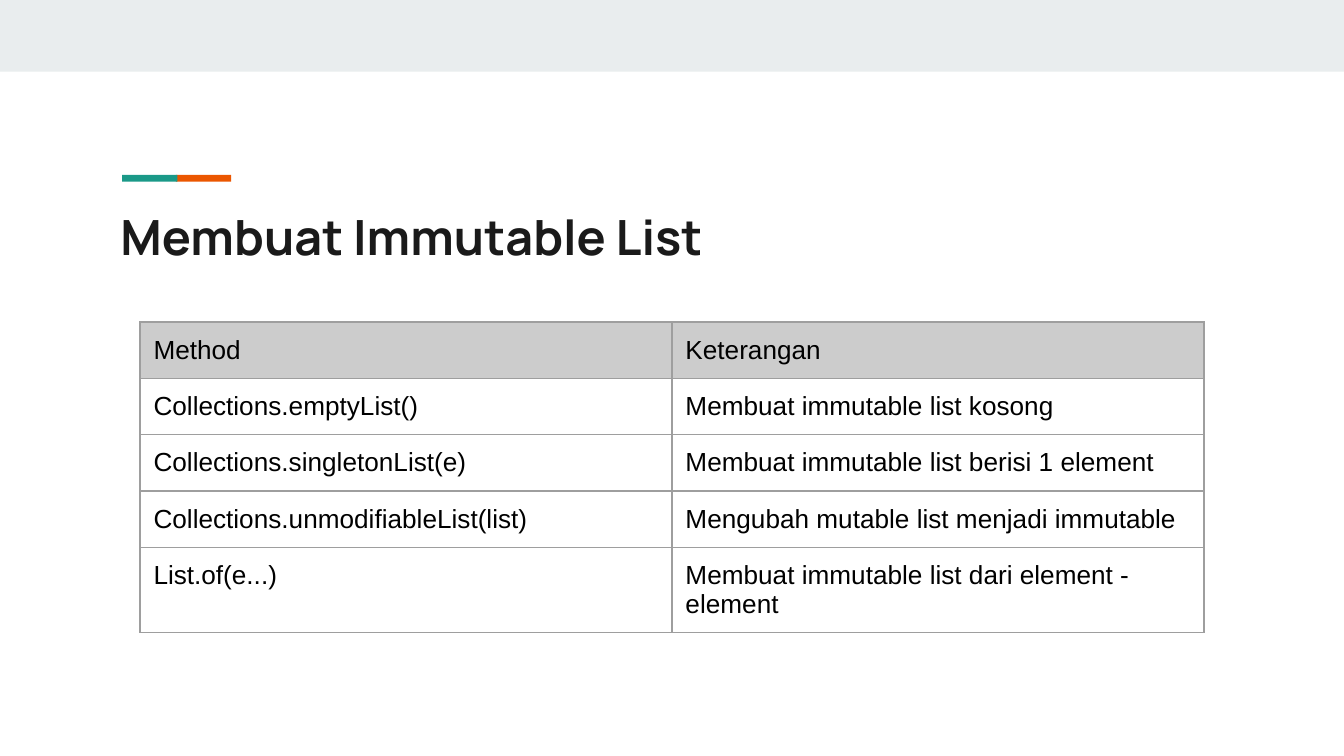
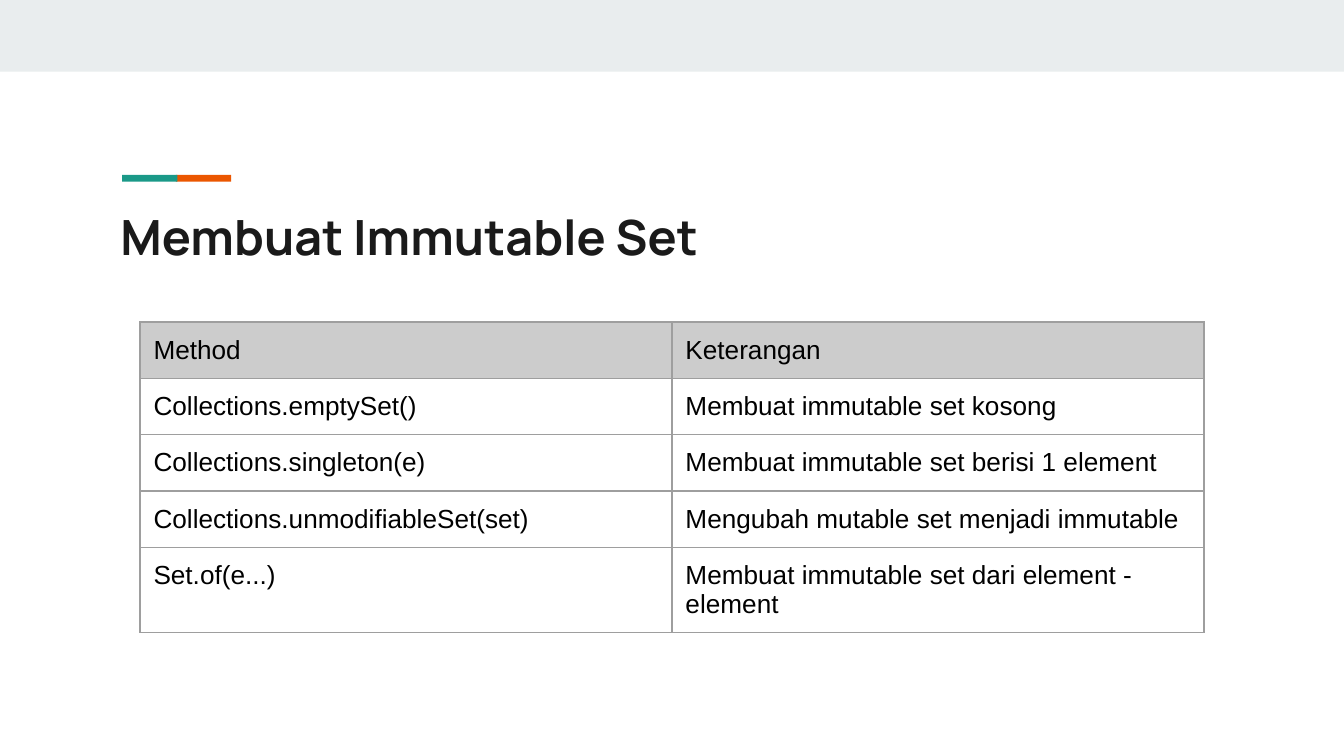
from dataclasses import dataclass

from lxml import etree
from pptx import Presentation, util as u
from pptx.dml.color import RGBColor
from pptx.enum import shapes, text
from pptx.oxml.ns import qn

COLORS = {
    "band": "E9EDEE",
    "teal": "1A9988",
    "orange": "EB5600",
    "title": "1A1A1A",
    "body": "000000",
    "header": "CCCCCC",
    "border": "9E9E9E",
}
WIDTH = u.Inches(10)
HEIGHT = WIDTH * 9 // 16
INSET = u.Inches(0.1)
TITLE_ONLY = 5


@dataclass(frozen=True)
class Area:
    """A rectangle in percent of the slide's width and height."""
    left: float
    top: float
    width: float
    height: float

    def emu(self) -> tuple[int, int, int, int]:
        return (round(self.left * WIDTH / 100), round(self.top * HEIGHT / 100),
                round(self.width * WIDTH / 100), round(self.height * HEIGHT / 100))


@dataclass(frozen=True)
class Bar:
    area: Area
    color: str
    rotation: float = 0


@dataclass(frozen=True)
class MethodSlide:
    title: str
    methods: list[tuple[str, str]]


# Shared decoration and placement
TOP_BAND = Bar(Area(0, 0, 100, 9.5), "band")
ACCENT_BARS = [
    Bar(Area(16, 18, 0.28, 10.4), "orange", 270),
    Bar(Area(10.3, 18, 0.28, 10.4), "teal", 270),
]
ACCENT_AREA = Area(11.05, 14.13, 4.2, 18.9)  # the accent bars are scaled to this
TITLE_AREA = Area(7.96, 25.6, 84.1, 10.5)
ROW_HEIGHT = 7.4
TABLE_LEFT, TABLE_TOP, TABLE_WIDTH = 10.42, 42.6, 79.17
HEADINGS = ("Method", "Keterangan")

# Content
SLIDES = [
    MethodSlide("Membuat Immutable List", [
        ("Collections.emptyList()", "Membuat immutable list kosong"),
        ("Collections.singletonList(e)", "Membuat immutable list berisi 1 element"),
        ("Collections.unmodifiableList(list)", "Mengubah mutable list menjadi immutable"),
        ("List.of(e...)", "Membuat immutable list dari element - element"),
    ]),
    MethodSlide("Membuat Immutable Set", [
        ("Collections.emptySet()", "Membuat immutable set kosong"),
        ("Collections.singleton(e)", "Membuat immutable set berisi 1 element"),
        ("Collections.unmodifiableSet(set)", "Mengubah mutable set menjadi immutable"),
        ("Set.of(e...)", "Membuat immutable set dari element - element"),
    ]),
]


def rgb(name: str) -> RGBColor:
    return RGBColor.from_string(COLORS[name])


def place(item, area: Area) -> None:
    item.left, item.top, item.width, item.height = area.emu()


def write(holder, words: str, face: str, size: float, color: str, bold: bool = False) -> None:
    """Fill a cell's or shape's text frame with one styled paragraph."""
    holder.text_frame.text = words
    paragraph = holder.text_frame.paragraphs[0]
    paragraph.alignment = text.PP_ALIGN.LEFT
    font = paragraph.runs[0].font
    font.name, font.size, font.bold = face, u.Pt(size), bold
    font.color.rgb = rgb(color)


def set_margins(holder) -> None:
    holder.margin_left = holder.margin_right = INSET
    holder.margin_top = holder.margin_bottom = INSET


def draw_bar(parent, bar: Bar) -> None:
    strip = parent.shapes.add_shape(shapes.MSO_SHAPE.RECTANGLE, *bar.area.emu())
    strip.rotation = bar.rotation
    strip.fill.solid()
    strip.fill.fore_color.rgb = rgb(bar.color)
    strip.line.fill.background()
    strip.shadow.inherit = False


def draw_accent(slide) -> None:
    accent = slide.shapes.add_group_shape()
    for bar in ACCENT_BARS:
        draw_bar(accent, bar)
    place(accent, ACCENT_AREA)


def draw_title(slide, words: str) -> None:
    title = slide.shapes.title
    place(title, TITLE_AREA)
    write(title, words, "Manrope", 26, "title", bold=True)
    frame = title.text_frame
    set_margins(frame)
    frame.word_wrap = True
    frame.auto_size = text.MSO_AUTO_SIZE.NONE
    frame.vertical_anchor = text.MSO_ANCHOR.TOP


def add_borders(cell) -> None:
    properties = cell._tc.get_or_add_tcPr()
    for side in ("lnL", "lnR", "lnT", "lnB"):
        line = etree.SubElement(properties, qn(f"a:{side}"), w=str(u.Pt(0.75)))
        fill = etree.SubElement(line, qn("a:solidFill"))
        etree.SubElement(fill, qn("a:srgbClr"), val=COLORS["border"])


def draw_table(slide, methods: list[tuple[str, str]]) -> None:
    rows = [HEADINGS, *methods]
    area = Area(TABLE_LEFT, TABLE_TOP, TABLE_WIDTH, ROW_HEIGHT * len(rows))
    table = slide.shapes.add_table(len(rows), len(HEADINGS), *area.emu()).table
    table.first_row = table.horz_banding = False
    for r, row in enumerate(rows):
        for c, words in enumerate(row):
            cell = table.cell(r, c)
            write(cell, words, "Arial", 14, "body")
            set_margins(cell)
            add_borders(cell)
            if r == 0:
                cell.fill.solid()
                cell.fill.fore_color.rgb = rgb("header")
            else:
                cell.fill.background()


def main() -> None:
    deck = Presentation()
    deck.slide_width, deck.slide_height = WIDTH, HEIGHT
    for content in SLIDES:
        slide = deck.slides.add_slide(deck.slide_layouts[TITLE_ONLY])
        draw_bar(slide, TOP_BAND)
        draw_accent(slide)
        draw_title(slide, content.title)
        draw_table(slide, content.methods)
    deck.save("out.pptx")


if __name__ == "__main__":
    main()
